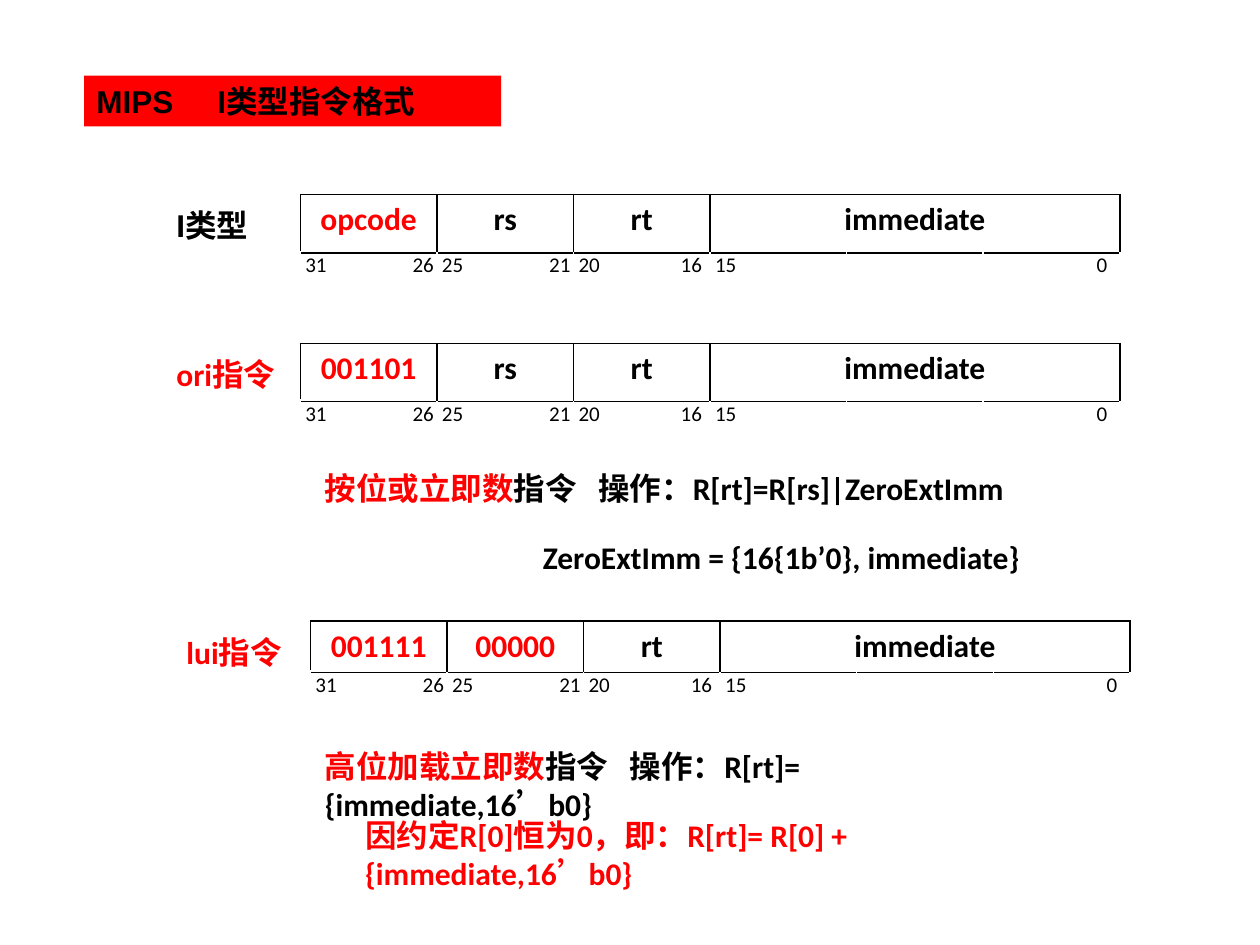
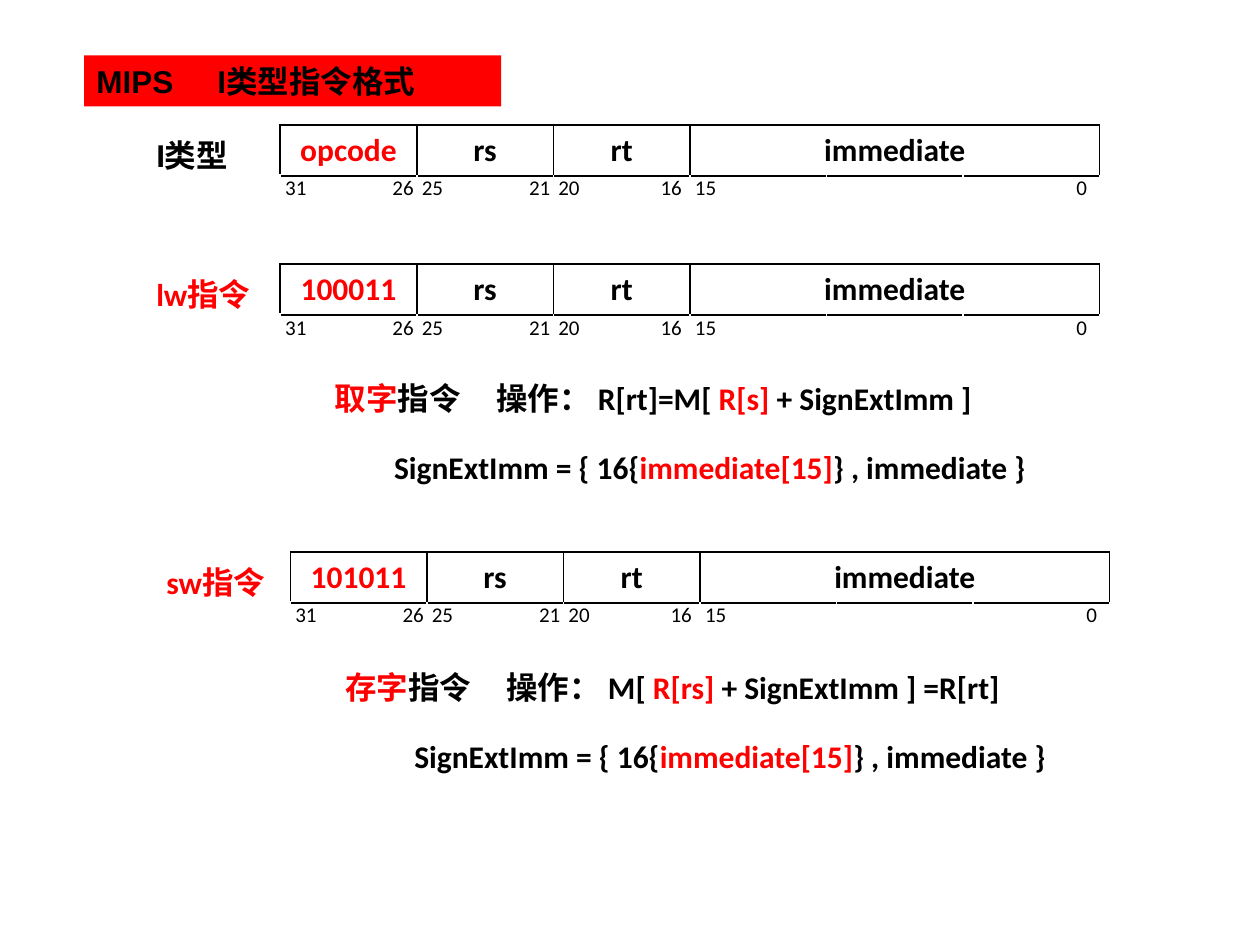
"""Build two slides on the MIPS I-type instruction format."""
import pptx
import pptx.dml.color
import pptx.enum.shapes
import pptx.enum.text
import pptx.oxml
import pptx.oxml.ns
import pptx.util

COLORS = {"red": "FF0000", "black": "000000", "white": "FFFFFF"}
BIT_RANGES = [("31", "26", 10.2), ("25", "21", 10.2), ("20", "16", 9.8)]
SIDES = ("L", "R", "T", "B")
IMMEDIATE = [("SignExtImm = { 16{", "black"), ("immediate[15]", "red"),
             ("} , immediate }", "black")]
TYPE_LABEL = [("I", "black", "Arial"), ("类型", "black")]


def rgb(color):
    """Return the named colour."""
    return pptx.dml.color.RGBColor.from_string(COLORS[color])


class Deck:
    """Hold the style, a 100 by 75 grid and the current slide."""

    font = "Calibri"
    text_size = 18
    bit_size = 12
    field_width = 10.84
    row_height = 4.06

    def __init__(self):
        """Start an empty presentation."""
        self.presentation = pptx.Presentation()
        self.presentation.slide_width = pptx.util.Inches(10)
        self.presentation.slide_height = pptx.util.Inches(7.5)
        self.slide = None

    def grid(self, *steps):
        """Turn grid steps into lengths."""
        return [int(self.presentation.slide_width * step / 100) for step in steps]

    def add_slide(self, title_row):
        """Add a slide with its red title band."""
        self.slide = self.presentation.slides.add_slide(self.presentation.slide_layouts[6])
        band = self.slide.shapes.add_shape(
            pptx.enum.shapes.MSO_SHAPE.RECTANGLE, *self.grid(6.67, title_row, 33.1, 4.04))
        band.shadow.inherit = False
        band.fill.solid()
        band.fill.fore_color.rgb = rgb("red")
        band.line.fill.background()
        self.add_runs(band.text_frame, [("MIPS\tI类型指令格式", "black", "Arial")], tab=9.6)
        band.text_frame.paragraphs[0].alignment = pptx.enum.text.PP_ALIGN.LEFT

    def add_runs(self, frame, runs, size=text_size, tab=None, tab_side="l"):
        """Add runs of text to the first paragraph of a frame."""
        frame.word_wrap = True
        paragraph = frame.paragraphs[0]
        if tab:
            properties = paragraph._p.get_or_add_pPr()
            stops = pptx.oxml.parse_xml(
                f'<a:tabLst {pptx.oxml.ns.nsdecls("a")}>'
                f'<a:tab pos="{self.grid(tab)[0]}" algn="{tab_side}"/></a:tabLst>')
            properties.append(stops)
        for text, color, *font in runs:
            run = paragraph.add_run()
            run.text = text
            run.font.name = font[0] if font else self.font
            run.font.size = pptx.util.Pt(size)
            run.font.bold = size == self.text_size
            run.font.color.rgb = rgb(color)

    def note(self, left, top, width, runs, tab=None):
        """Add a line of explanation."""
        box = self.slide.shapes.add_textbox(*self.grid(left, top, width, 4.04))
        self.add_runs(box.text_frame, runs, tab=tab)
        box.text_frame.auto_size = pptx.enum.text.MSO_AUTO_SIZE.SHAPE_TO_FIT_TEXT

    def style_cell(self, cell, **borders):
        """Fill a cell white and draw its four borders."""
        cell.fill.solid()
        cell.fill.fore_color.rgb = rgb("white")
        properties = cell._tc.get_or_add_tcPr()
        for index, side in enumerate(SIDES):
            color, points = borders.get(side, ("white", 1))
            properties.insert(index, pptx.oxml.parse_xml(
                f'<a:ln{side} {pptx.oxml.ns.nsdecls("a")} w="{pptx.util.Pt(points)}">'
                f'<a:solidFill><a:srgbClr val="{COLORS[color]}"/></a:solidFill></a:ln{side}>'))

    def bit_cell(self, cell, text, **layout):
        """Put bit numbers into a cell without padding."""
        cell.margin_top = cell.margin_bottom = cell.margin_right = 0
        cell.margin_left = self.grid(0.4)[0]
        self.add_runs(cell.text_frame, [(text, "black")], self.bit_size, **layout)

    def instruction(self, left, top, label, opcode, source="rs", source_color="black",
                    field_height=row_height):
        """Add the table of an instruction's fields and bit numbers."""
        frame = self.slide.shapes.add_table(2, 7, *self.grid(
            left, top, 7 * self.field_width, field_height + self.row_height))
        table = frame.table
        table.first_row = table.horz_banding = False
        for column in table.columns:
            column.width = self.grid(self.field_width)[0]
        table.rows[0].height, table.rows[1].height = self.grid(field_height, self.row_height)
        table.cell(0, 4).merge(table.cell(0, 6))

        line = ("black", 1)
        for index in range(7):
            if index:
                self.style_cell(table.cell(0, index), **{side: line for side in SIDES})
                self.style_cell(table.cell(1, index), T=line)
            else:
                self.style_cell(table.cell(0, 0), R=line, B=("white", 3))
                self.style_cell(table.cell(1, 0))

        self.add_runs(table.cell(0, 0).text_frame, label)
        fields = [(opcode, "red"), (source, source_color), ("rt", "black"), ("immediate", "black")]
        for index, field in enumerate(fields, 1):
            text_frame = table.cell(0, index).text_frame
            self.add_runs(text_frame, [field])
            text_frame.paragraphs[0].alignment = pptx.enum.text.PP_ALIGN.CENTER

        for index, (high, low, tab) in enumerate(BIT_RANGES, 1):
            self.bit_cell(table.cell(1, index), f"{high}\t{low}", tab=tab, tab_side="r")
        self.bit_cell(table.cell(1, 4), "15")
        last = table.cell(1, 6)
        self.bit_cell(last, "0")
        last.margin_right = self.grid(1)[0]
        last.text_frame.paragraphs[0].alignment = pptx.enum.text.PP_ALIGN.RIGHT


def main():
    """Build and save the slides."""
    deck = Deck()

    deck.add_slide(6)
    deck.instruction(13, 15.45, TYPE_LABEL, "opcode", field_height=4.6)
    deck.instruction(13, 27.26, [("ori指令", "red")], "001101")
    deck.note(24.8, 36.7, 60.6, [("按位或立即数", "red"),
              ("指令\t操作：R[rt]=R[rs]|ZeroExtImm", "black")], tab=21.7)
    deck.note(42.1, 42.2, 40.9, [("ZeroExtImm = {16{1b’0}, immediate}", "black")])
    deck.instruction(13.8, 49.3, [("lui指令", "red")], "001111", "00000", "red")
    deck.note(24.8, 58.8, 60.6, [("高位加载立即数", "red"),
              ("指令\t操作：R[rt]= {immediate,16’b0}", "black")], tab=24.2)
    deck.note(28, 64.3, 61.4, [("因约定R[0]恒为0，即：R[rt]= R[0] + {immediate,16’b0}", "red")])

    deck.add_slide(4.4)
    deck.instruction(11.4, 9.9, TYPE_LABEL, "opcode")
    deck.instruction(11.4, 20.95, [("lw指令", "red")], "100011")
    deck.note(25.6, 29.6, 59.1, [("取字", "red"), ("指令\t操作： R[rt]=M[ ", "black"),
              ("R[s] ", "red"), ("+ SignExtImm ]", "black")], tab=12.8)
    deck.note(30.3, 35.1, 56.7, IMMEDIATE)
    deck.instruction(12.2, 43.8, [("sw指令", "red")], "101011")
    deck.note(26.4, 52.5, 59.1, [("存字", "red"), ("指令\t操作： M[ ", "black"),
              ("R[rs] ", "red"), ("+ SignExtImm ] =R[rt]", "black")], tab=12.8)
    deck.note(31.9, 58, 56.7, IMMEDIATE)

    deck.presentation.save("out.pptx")


if __name__ == "__main__":
    main()
